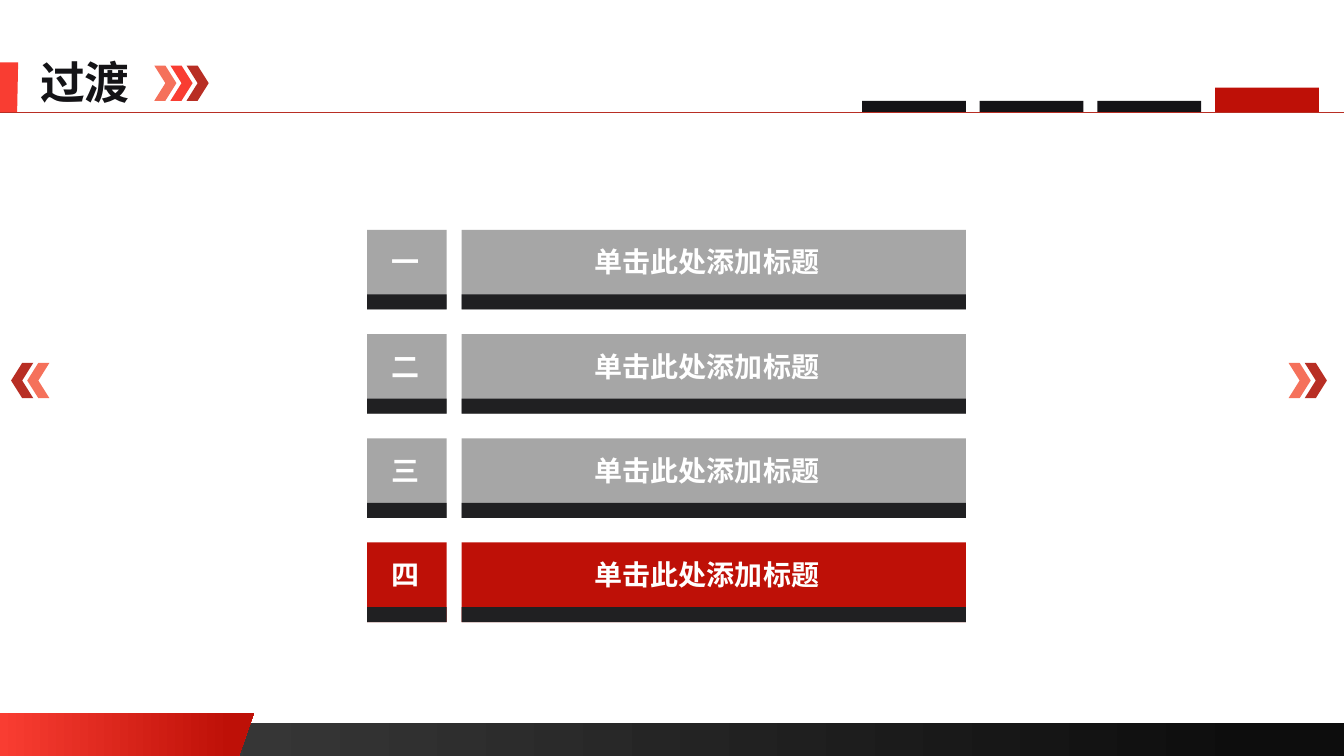
from lxml.etree import SubElement
from pptx import Presentation
from pptx.dml.color import RGBColor
from pptx.enum.shapes import MSO_CONNECTOR, MSO_SHAPE
from pptx.enum.text import MSO_AUTO_SIZE
from pptx.oxml.ns import qn
from pptx.util import Inches, Pt

RED = RGBColor(0xBE, 0x10, 0x07)
BRIGHT = RGBColor(0xF9, 0x3D, 0x32)
CORAL = RGBColor(0xF5, 0x71, 0x5B)
BRICK = RGBColor(0xB8, 0x2E, 0x24)
INK = RGBColor(0x14, 0x13, 0x16)
DARK = RGBColor(0x20, 0x20, 0x22)
GRAY = RGBColor(0xA6, 0xA6, 0xA6)
SMOKE = RGBColor(0x40, 0x40, 0x40)
BLACK = RGBColor(0x0D, 0x0D, 0x0D)
WHITE = RGBColor(0xFF, 0xFF, 0xFF)
FONT = "Noto Sans CJK SC"
WIDE, HIGH = 13.33, 7.5

deck = Presentation()
deck.slide_width, deck.slide_height = Inches(WIDE), Inches(HIGH)
slide = deck.slides.add_slide(deck.slide_layouts[6])
slide.background.fill.solid()
slide.background.fill.fore_color.rgb = WHITE
shapes = slide.shapes


def paint(shape, color, fade=None, stop=1):
    shape.shadow.inherit = False
    shape.line.fill.background()
    if fade is None:
        shape.fill.solid()
        shape.fill.fore_color.rgb = color
        return
    shape.fill.gradient()
    shape.fill.gradient_angle = 0
    for mark, tone, place in zip(shape.fill.gradient_stops, (color, fade), (0, stop)):
        mark.color.rgb = tone
        mark.position = place


def write(text, left, top, width, height, size=20, color=WHITE):
    box = shapes.add_textbox(*map(Inches, (left, top, width, height)))
    frame = box.text_frame
    frame.word_wrap = False
    frame.auto_size = MSO_AUTO_SIZE.SHAPE_TO_FIT_TEXT
    run = frame.paragraphs[0].add_run()
    run.text = text
    font = run.font
    font.name, font.size, font.bold = FONT, Pt(size), True
    font.color.rgb = color
    SubElement(run._r.get_or_add_rPr(), qn("a:ea")).set("typeface", FONT)


foot = shapes.add_shape(MSO_SHAPE.RECTANGLE, *map(Inches, (0, 7.17, WIDE, HIGH - 7.17)))
paint(foot, SMOKE, fade=BLACK, stop=0.94)

for top, end, low, base, fade in (
    (7.07, 2.52, 2.37, HIGH, RED),
    (0.62, 0.18, 0.17, 1.12, None),
):
    pen = shapes.build_freeform(0, Inches(top))
    pen.add_line_segments([(Inches(x), Inches(y)) for x, y in ((end, top), (low, base), (0, base))])
    paint(pen.convert_to_shape(), BRIGHT, fade=fade, stop=0.91)

write("过渡", 0.3, 0.49, 1.1, 0.64, size=32, color=INK)

rule = shapes.add_connector(MSO_CONNECTOR.STRAIGHT, 0, Inches(1.11), Inches(WIDE), Inches(1.11))
rule.line.color.rgb = BRICK
rule.line.width = Pt(0.5)
SubElement(rule._element.spPr, qn("a:effectLst"))

for left, top, step, turn, tones in (
    (1.53, 0.65, 0.16, 0, (CORAL, BRIGHT, BRICK)),
    (12.78, 3.6, 0.16, 0, (CORAL, BRICK)),
    (0.27, 3.6, -0.16, 180, (CORAL, BRICK)),
):
    for i, tone in enumerate(tones):
        arrow = shapes.add_shape(
            MSO_SHAPE.CHEVRON, *map(Inches, (left + i * step, top, 0.22, 0.35))
        )
        arrow.rotation = turn
        paint(arrow, tone)

for i in range(4):
    tall, tone = (0.24, RED) if i == 3 else (0.11, INK)
    tab = shapes.add_shape(
        MSO_SHAPE.RECTANGLE, *map(Inches, (8.55 + i * 1.167, 1.11 - tall, 1.03, tall))
    )
    paint(tab, tone)

for i, num in enumerate("一二三四"):
    top = 2.28 + i * 1.034
    for left, width in ((3.64, 0.79), (4.58, 5)):
        for drop, tall, tone in ((0, 0.79, RED if num == "四" else GRAY), (0.64, 0.15, DARK)):
            bar = shapes.add_shape(
                MSO_SHAPE.RECTANGLE, *map(Inches, (left, top + drop, width, tall))
            )
            paint(bar, tone)
    write(num, 3.78, top + 0.1, 0.48, 0.44)
    write("单击此处添加标题", 5.8, top + 0.1, 2.45, 0.44)

deck.save("out.pptx")
